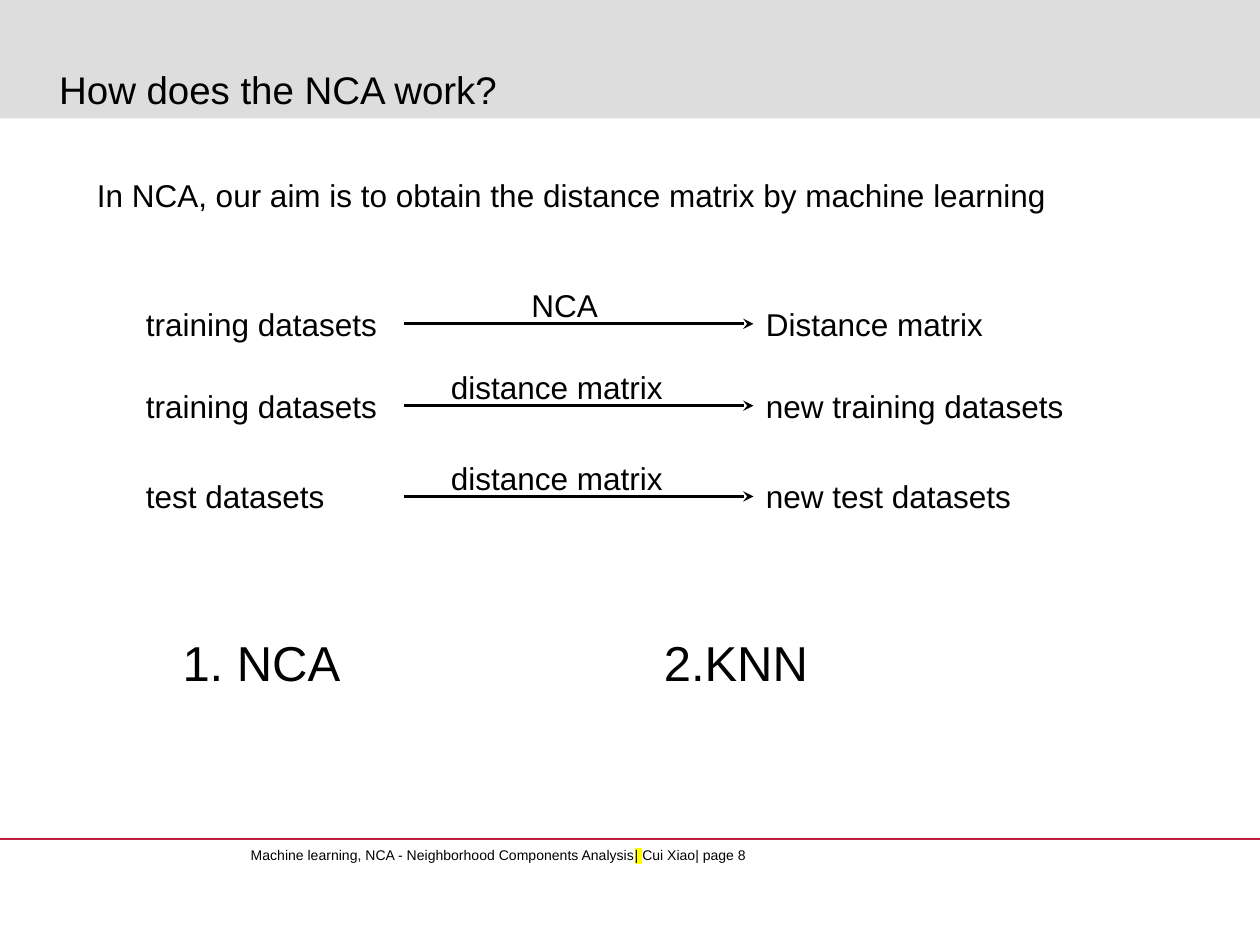
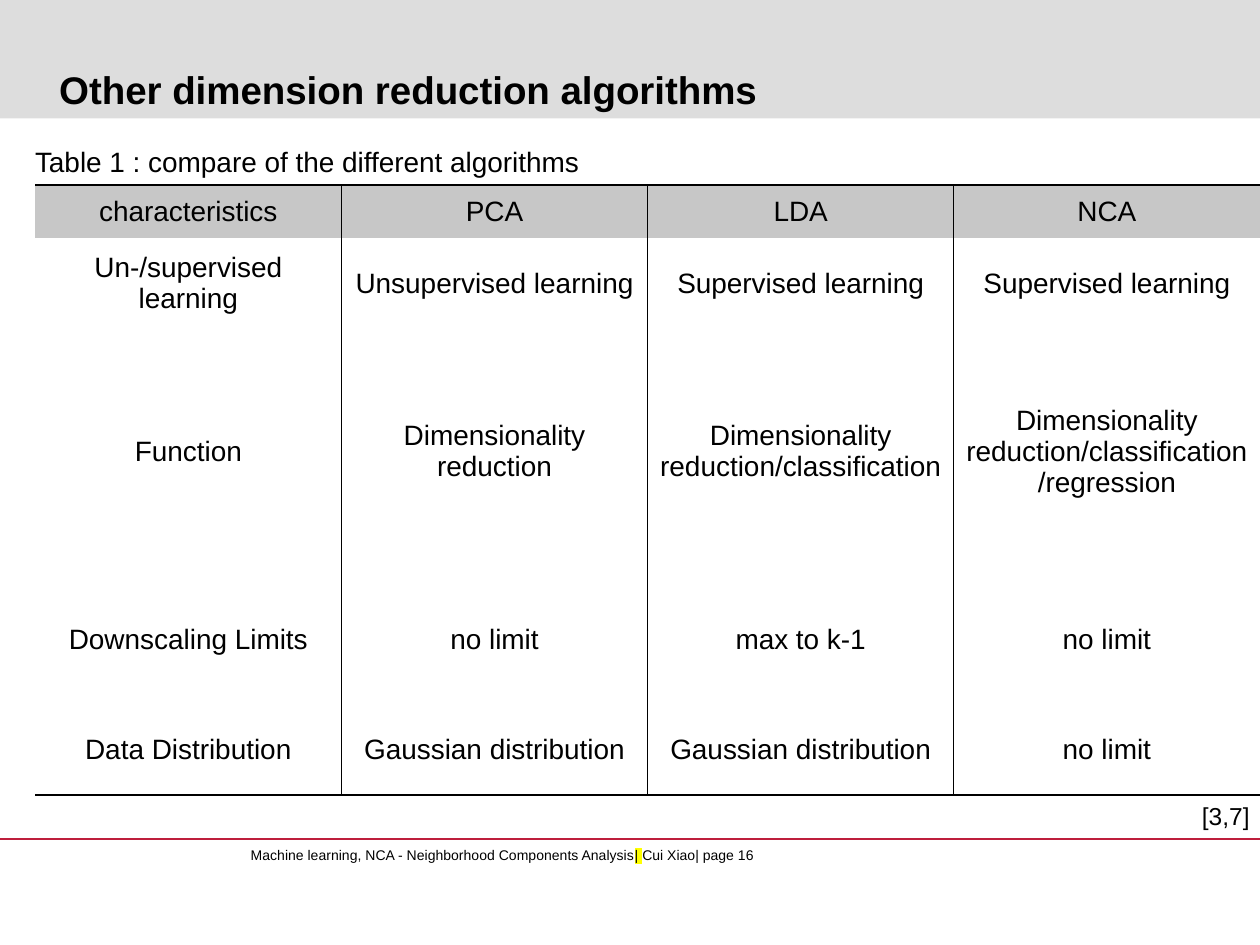
from lxml import etree
from pptx import Presentation
from pptx.dml.color import RGBColor
from pptx.enum.shapes import MSO_CONNECTOR, MSO_SHAPE
from pptx.enum.text import MSO_ANCHOR, MSO_AUTO_SIZE, PP_ALIGN
from pptx.oxml.ns import qn
from pptx.util import Inches, Pt

RECTANGLE = MSO_SHAPE.RECTANGLE
STRAIGHT = MSO_CONNECTOR.STRAIGHT
TOP, MIDDLE, BOTTOM = MSO_ANCHOR.TOP, MSO_ANCHOR.MIDDLE, MSO_ANCHOR.BOTTOM
LEFT, CENTER = PP_ALIGN.LEFT, PP_ALIGN.CENTER
GROW, FIXED = MSO_AUTO_SIZE.SHAPE_TO_FIT_TEXT, MSO_AUTO_SIZE.NONE

COLORS = {
    "text": "000000",
    "band": "DDDDDD",
    "footer line": "BE1E3C",
    "highlight": "FFFF00",
    "table header": "C7C7C7",
}
FONT = "Arial"
NO_GRID_STYLE = "{2D5ABB26-0587-4C30-8999-92F81FD0307C}"

# The slide is a grid of 100 columns by 75 rows of square cells.
COLUMNS, ROWS = 100, 75
SLIDE_WIDTH, SLIDE_HEIGHT = Inches(10), Inches(7.5)


def grid(*counts):
    """Turn counts of grid cells into slide lengths."""
    return [round(count * SLIDE_WIDTH / COLUMNS) for count in counts]


def rgb(name):
    """Look up a named colour."""
    return RGBColor.from_string(COLORS[name])


def add_element(parent, tag, **attributes):
    """Append a drawing element to a parent element."""
    return etree.SubElement(parent, qn(tag), attributes)


def add_run(paragraph, text, size, bold=False, highlight=None):
    """Add one formatted run to a paragraph."""
    run = paragraph.add_run()
    run.text = text
    run.font.size = Pt(size)
    run.font.name = FONT
    run.font.bold = bold
    run.font.color.rgb = rgb("text")
    if highlight:
        marker = etree.Element(qn("a:highlight"))
        add_element(marker, "a:srgbClr", val=COLORS[highlight])
        run.font.fill  # the colour element precedes the highlight
        run._r.rPr.find(qn("a:solidFill")).addnext(marker)


def add_text(slide, text, box, size=18, bold=False, anchor=TOP, align=LEFT,
             inset=True, wrap=True, fit=GROW, tab=None):
    """Add a text box; text is a string or a list of (text, highlight)."""
    shape = slide.shapes.add_textbox(*grid(*box))
    frame = shape.text_frame
    frame.word_wrap = wrap
    frame.auto_size = fit
    frame.vertical_anchor = anchor
    if not inset:
        frame.margin_left = frame.margin_right = 0
        frame.margin_top = frame.margin_bottom = 0
    paragraph = frame.paragraphs[0]
    paragraph.alignment = align
    if tab:
        stops = add_element(paragraph._p.get_or_add_pPr(), "a:tabLst")
        add_element(stops, "a:tab", pos=str(grid(tab)[0]), algn="l")
    pieces = [(text, None)] if isinstance(text, str) else text
    for piece, highlight in pieces:
        add_run(paragraph, piece, size, bold, highlight)


def add_line(slide, start, end, color, width, arrow=False):
    """Add a straight line, with a stealth arrowhead if asked."""
    line = slide.shapes.add_connector(STRAIGHT, *grid(*start, *end))
    line.line.color.rgb = rgb(color)
    line.line.width = Pt(width)
    if arrow:
        add_element(line.line._get_or_add_ln(), "a:tailEnd", type="stealth")
    add_element(line._element.spPr, "a:effectLst")


def add_base_slide(presentation, title, page, bold=False):
    """Add a slide with the title band, footer line and footer."""
    slide = presentation.slides.add_slide(presentation.slide_layouts[6])
    band = slide.shapes.add_shape(RECTANGLE, *grid(0, 0, COLUMNS, 9.4))
    band.shadow.inherit = False
    band.fill.solid()
    band.fill.fore_color.rgb = rgb("band")
    band.line.fill.background()
    add_line(slide, (0, 66.6), (COLUMNS, 66.6), "footer line", 0.75)
    footer = [
        ("Machine learning, NCA - Neighborhood Components Analysis", None),
        ("| ", "highlight"),
        (f"Cui Xiao| page {page}", None),
    ]
    add_text(slide, footer, (19.9, 67.2, 40.6, 2.7), size=8,
             inset=False, wrap=False)
    add_text(slide, title, (4.7, 1.2, 91.6, 7.7), size=22, bold=bold,
             anchor=BOTTOM, inset=False, fit=FIXED)
    return slide


def add_flow(slide, top, source, label, label_left, label_width, result):
    """Add one step: source, labelled arrow, result."""
    arrow_start, arrow_end, height = 32.1, 59.8, 4
    add_text(slide, source, (10.6, top, 21.5, height))
    add_line(slide, (arrow_start, top + 2), (arrow_end, top + 2),
             "text", 1.5, arrow=True)
    add_text(slide, result, (arrow_end, top, 27.1, height))
    add_text(slide, label, (label_left, top - 1.5, label_width, height))


def add_borders(cell, borders):
    """Draw cell borders from (side, width) pairs, sides in order L R T B."""
    properties = cell._tc.get_or_add_tcPr()
    for side, width in borders:
        line = add_element(properties, f"a:ln{side}", w=str(Pt(width)))
        fill = add_element(line, "a:solidFill")
        add_element(fill, "a:srgbClr", val=COLORS["text"])


def add_comparison_table(slide, rows, left, top, column_width, heights):
    """Add a centred table with a grey header and open outer sides."""
    count = len(rows[0])
    frame = slide.shapes.add_table(
        len(rows), count, *grid(left, top, column_width * count, sum(heights)))
    table = frame.table
    table.first_row = table.horz_banding = False
    table._tbl.tblPr.find(qn("a:tableStyleId")).text = NO_GRID_STYLE
    for column in table.columns:
        column.width = grid(column_width)[0]
    divider_widths = {0: 1, 1: 0.5}  # by the column left of the divider
    for row, (texts, height) in enumerate(zip(rows, heights)):
        table.rows[row].height = grid(height)[0]
        for column, text in enumerate(texts):
            cell = table.cell(row, column)
            borders = []
            if column - 1 in divider_widths:
                borders.append(("L", divider_widths[column - 1]))
            if column in divider_widths:
                borders.append(("R", divider_widths[column]))
            if row == 0:
                borders.append(("T", 1))
            if row == len(rows) - 1:
                borders.append(("B", 1))
            add_borders(cell, borders)
            if row == 0:
                cell.fill.solid()
                cell.fill.fore_color.rgb = rgb("table header")
            else:
                cell.fill.background()
            cell.vertical_anchor = MIDDLE
            paragraph = cell.text_frame.paragraphs[0]
            paragraph.alignment = CENTER
            add_run(paragraph, text, 16)


def build_workflow(presentation):
    """Build the slide on how NCA works."""
    slide = add_base_slide(presentation, "How does the NCA work?", 8)
    add_text(slide, "In NCA, our aim is to obtain the distance matrix "
             "by machine learning", (6.7, 13.5, 80.2, 4))
    flows = [
        (23.7, "training datasets", "NCA", 41.2, 7.3, "Distance matrix"),
        (30.2, "training datasets", "distance matrix", 34.8, 20.4,
         "new training datasets"),
        (37.4, "test datasets", "distance matrix", 34.8, 20.4,
         "new test datasets"),
    ]
    for flow in flows:
        add_flow(slide, *flow)
    add_text(slide, "1. NCA\t2.KNN", (13.5, 49.7, 64.5, 5.7), size=28,
             tab=38.2)


def build_comparison(presentation):
    """Build the slide that compares the algorithms."""
    slide = add_base_slide(presentation,
                           "Other dimension reduction algorithms", 16,
                           bold=True)
    rows = [
        ("characteristics", "PCA", "LDA", "NCA"),
        ("Un-/supervised learning", "Unsupervised learning",
         "Supervised learning", "Supervised learning"),
        ("Function", "Dimensionality reduction",
         "Dimensionality reduction/classification",
         "Dimensionality reduction/classification/regression"),
        ("Downscaling Limits", "no limit", "max to k-1", "no limit"),
        ("Data Distribution", "Gaussian distribution",
         "Gaussian distribution", "no limit"),
    ]
    add_comparison_table(slide, rows, 2.8, 14.7, 24.3,
                         (4.2, 7.2, 19.5, 10.3, 7.2))
    add_text(slide, "Table 1 : compare of the different algorithms",
             (1.8, 11, 80.3, 3.7), size=16)
    add_text(slide, "[3,7]", (94.4, 63.1, 5.8, 3.4), size=14, wrap=False)


def main():
    """Build and save the presentation."""
    presentation = Presentation()
    presentation.slide_width = SLIDE_WIDTH
    presentation.slide_height = SLIDE_HEIGHT
    build_workflow(presentation)
    build_comparison(presentation)
    presentation.save("out.pptx")


if __name__ == "__main__":
    main()
